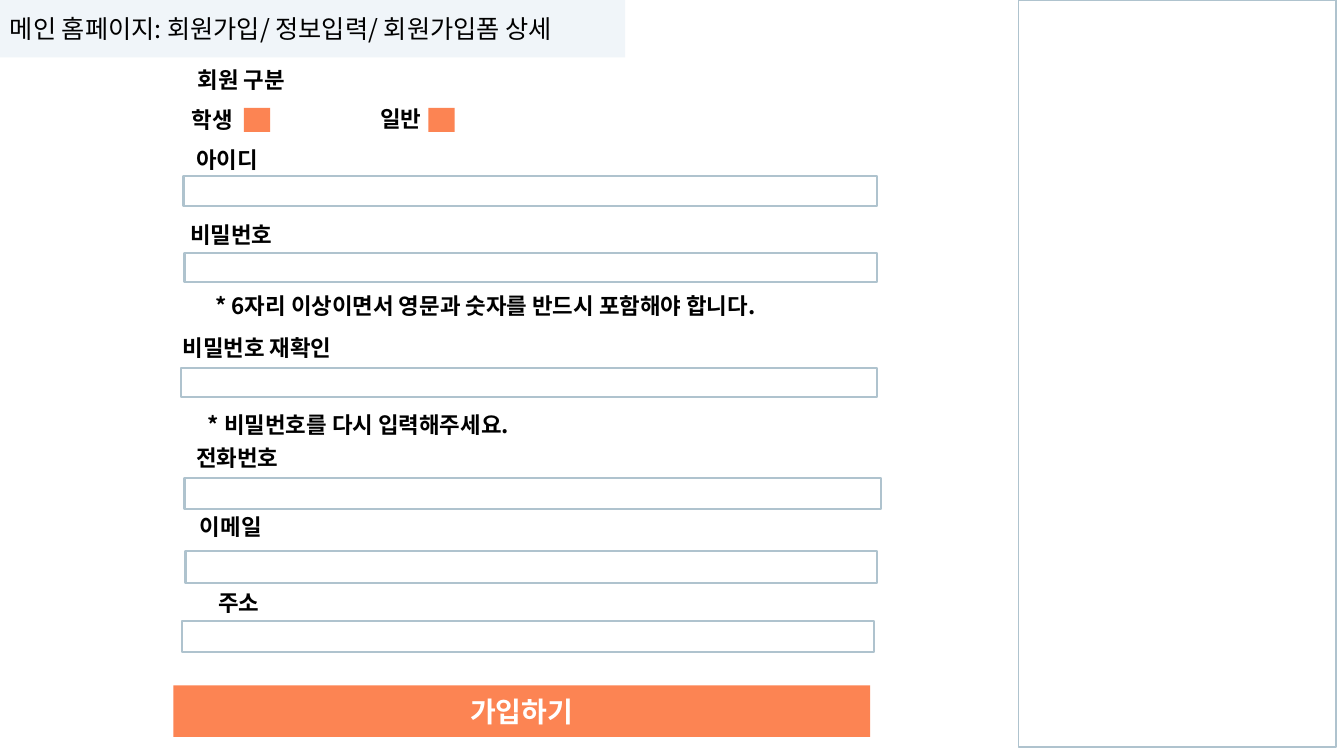
from lxml.etree import SubElement
from pptx import Presentation
from pptx.dml.color import RGBColor
from pptx.enum.shapes import MSO_SHAPE
from pptx.enum.text import MSO_ANCHOR, MSO_AUTO_SIZE, PP_ALIGN
from pptx.oxml.ns import qn
from pptx.util import Inches, Pt

FONT = "Noto Sans CJK KR"
BLACK, WHITE = "000000", "FFFFFF"
PALE, BORDER, ORANGE = "F0F5F9", "AFC3CE", "FC8453"

HEADER = ("메인 홈페이지: 회원가입/ 정보입력/ 회원가입폼 상세", (0, 0, 6.2, 0.57))
SIDE_PANEL = (10.1, 0, 3.15, 7.41)
BUTTON = ("가입하기", (1.72, 6.8, 6.91, 0.51))
FIELDS = [
    ("아이디", (1.72, 1.4, 1.07), (1.82, 1.75, 6.88, 0.29)),
    ("비밀번호", (1.7, 2.14, 1.19), (1.83, 2.51, 6.87, 0.29)),
    ("비밀번호 재확인", (1.53, 3.27, 2.04), (1.8, 3.65, 6.9, 0.29)),
    ("전화번호", (1.67, 4.36, 1.37), (1.83, 4.74, 6.91, 0.31)),
    ("이메일", (1.71, 5.04, 1.16), (1.84, 5.47, 6.86, 0.31)),
    ("주소", (1.79, 5.8, 1.16), (1.81, 6.16, 6.86, 0.31)),
]
HINTS = [
    ("* 6자리 이상이면서 영문과 숫자를 반드시 포함해야 합니다.", (1.79, 2.95, 6.05, 0.16)),
    ("* 비밀번호를 다시 입력해주세요.", (1.76, 4.1, 3.59, 0.23)),
]
MEMBER_TITLE = ("회원 구분", (1.71, 0.61, 1.37))
MEMBER_TYPES = [("학생", (1.69, 1, 0.83), 2.42), ("일반", (3.56, 0.99, 0.83), 4.25)]
CHECK_TOP, CHECK_WIDTH, CHECK_HEIGHT = 1.07, 0.26, 0.24
LABEL_HEIGHT = 0.37


def color(value):
    return RGBColor.from_string(value)


def write(shape, text, size=16, ink=BLACK, bold=True, align=PP_ALIGN.CENTER,
          anchor=MSO_ANCHOR.MIDDLE):
    frame = shape.text_frame
    frame.word_wrap = True
    frame.vertical_anchor = anchor
    para = frame.paragraphs[0]
    para.text = text
    para.alignment = align
    font = para.font
    font.name, font.size, font.bold = FONT, Pt(size), bold
    font.color.rgb = color(ink)
    defaults = para._p.get_or_add_pPr().find(qn("a:defRPr"))
    SubElement(defaults, qn("a:ea"), typeface=FONT)


def add_box(parent, area, fill=None, line_width=None):
    box = parent.add_shape(MSO_SHAPE.RECTANGLE, *map(Inches, area))
    box.shadow.inherit = False
    if fill:
        box.fill.solid()
        box.fill.fore_color.rgb = color(fill)
    else:
        box.fill.background()
    if line_width:
        box.line.color.rgb = color(BORDER)
        box.line.width = Pt(line_width)
    else:
        box.line.fill.background()
    return box


def add_label(parent, text, place):
    label = parent.add_textbox(*map(Inches, (*place, LABEL_HEIGHT)))
    write(label, text, anchor=MSO_ANCHOR.TOP)
    label.text_frame.auto_size = MSO_AUTO_SIZE.SHAPE_TO_FIT_TEXT


deck = Presentation()
deck.slide_width, deck.slide_height = Inches(13.33), Inches(7.5)
page = deck.slides.add_slide(deck.slide_layouts[6])
shapes = page.shapes

title, area = HEADER
write(add_box(shapes, area, fill=PALE), title, size=18, bold=False, align=PP_ALIGN.LEFT)
add_box(shapes, SIDE_PANEL, line_width=1)

caption, area = BUTTON
write(add_box(shapes, area, fill=ORANGE), caption, size=20, ink=WHITE)

for name, place, area in FIELDS:
    add_label(shapes, name, place)
    add_box(shapes, area, line_width=1.5)

for hint, area in HINTS:
    write(shapes.add_textbox(*map(Inches, area)), hint)

members = shapes.add_group_shape().shapes
add_label(members, *MEMBER_TITLE)
for name, place, check_left in MEMBER_TYPES:
    add_label(members, name, place)
    add_box(members, (check_left, CHECK_TOP, CHECK_WIDTH, CHECK_HEIGHT), fill=ORANGE)

deck.save("out.pptx")
